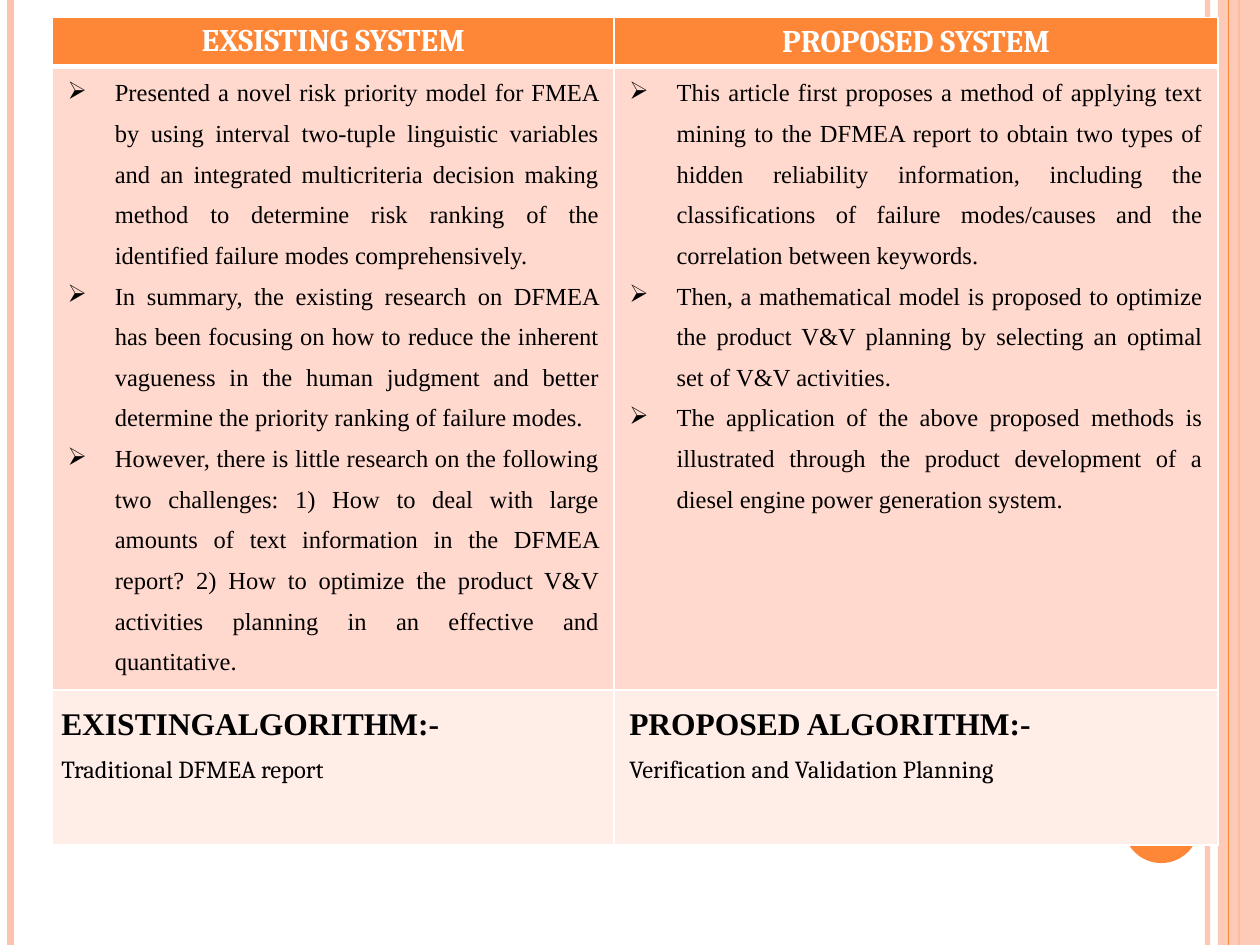
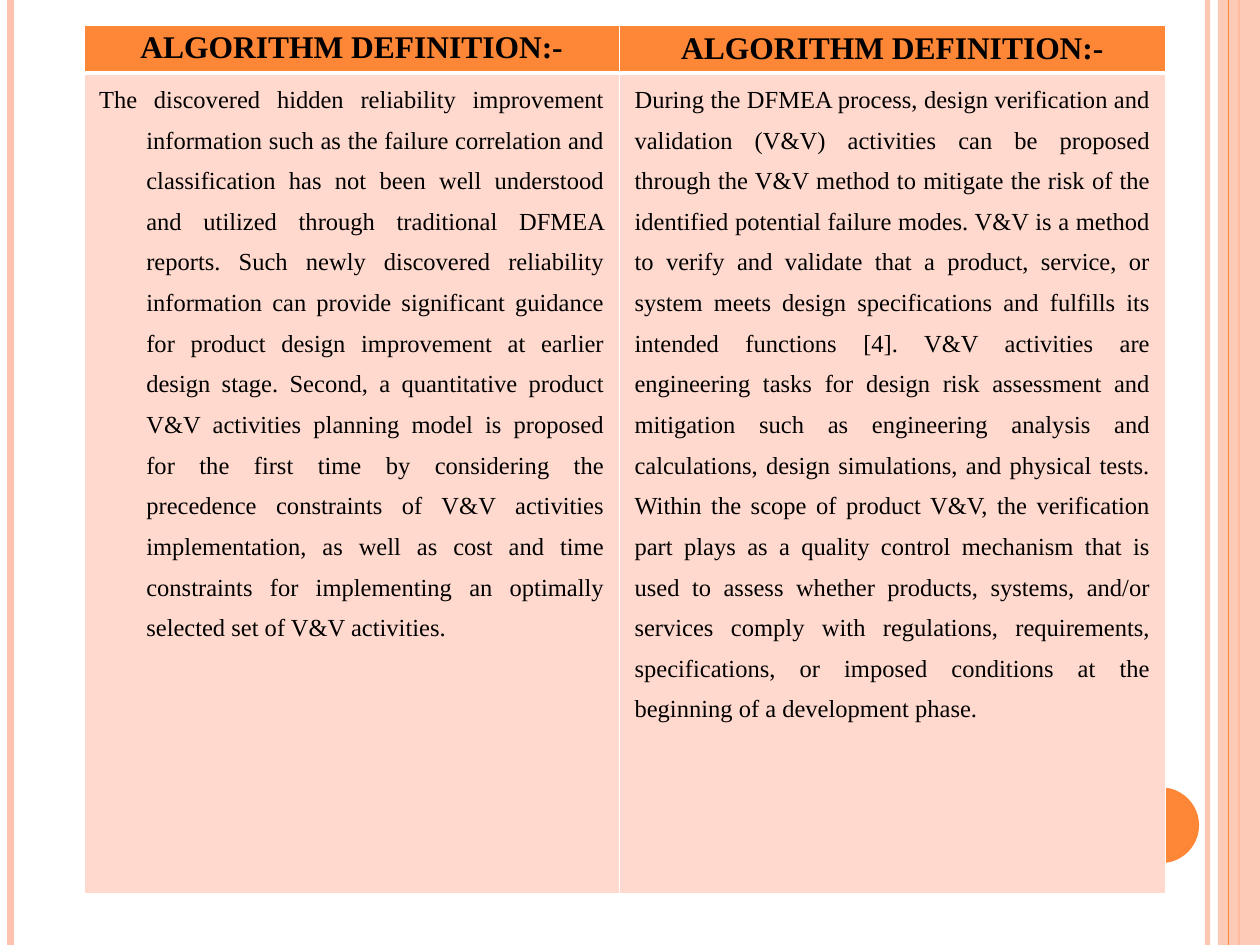
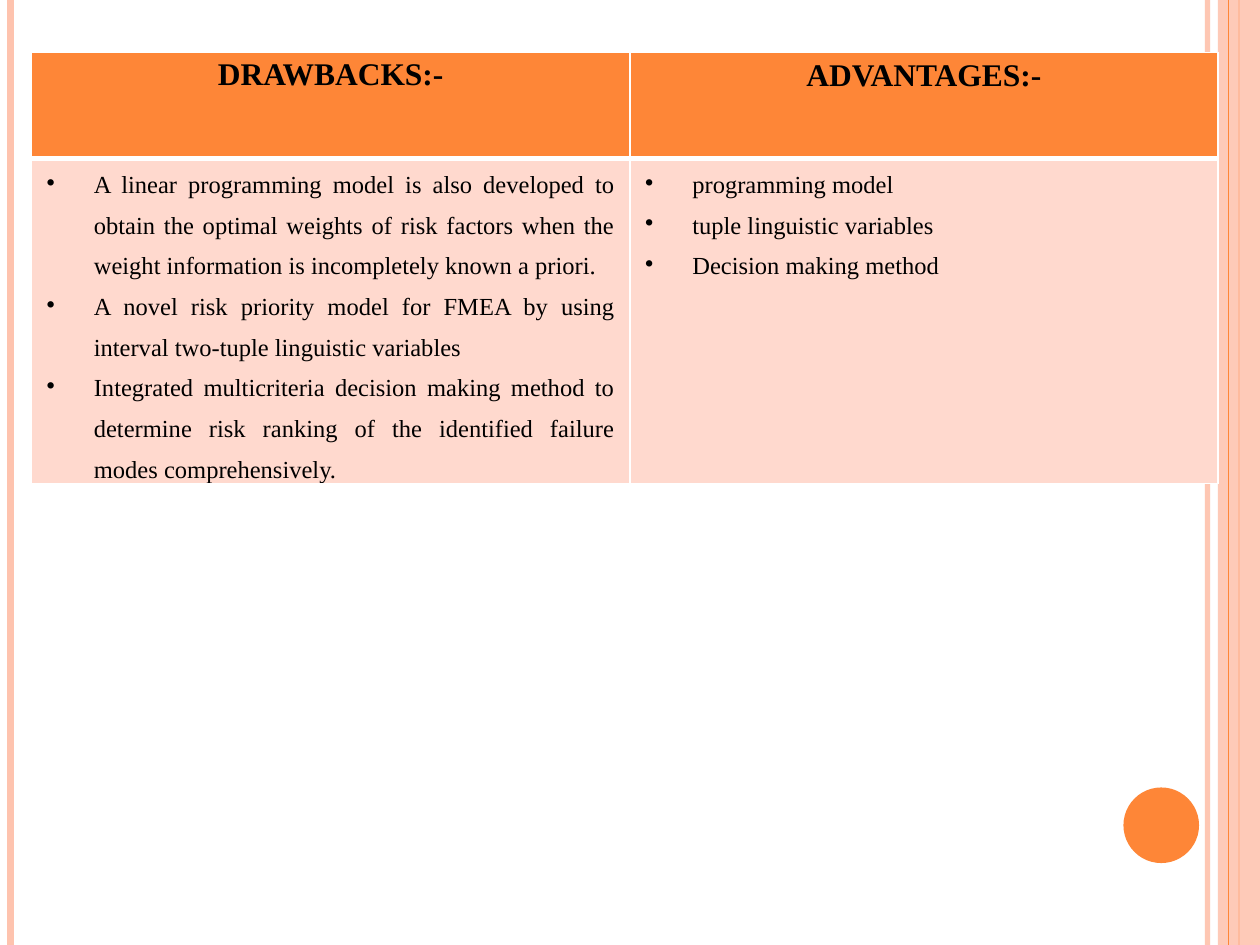
from pptx import Presentation
from pptx.dml.color import RGBColor
from pptx.enum.shapes import MSO_CONNECTOR as Connector, MSO_SHAPE as Preset
from pptx.enum.text import PP_ALIGN as Align
from pptx.oxml.ns import qn
from pptx.util import Pt
from lxml.etree import SubElement

ORANGE, PEACH = "FE8637", "FEC3AE"
BODY_FILL, PALE_FILL = "FFD9CE", "FFEDE8"
WHITE, BLACK = "FFFFFF", "000000"
SERIF, HEADING_SERIF = "Times New Roman", "Cambria"
WIDTH, HEIGHT = 720, 540
HANGING = 27


def colour(value):
    return RGBColor.from_string(value)


def set_opacity(owner, percent):
    for node in owner._element.iter(qn("a:srgbClr")):
        SubElement(node, qn("a:alpha"), val=str(percent * 1000))


class Deck:
    def __init__(self):
        self.deck = Presentation()
        self.deck.slide_width, self.deck.slide_height = Pt(WIDTH), Pt(HEIGHT)
        self.page = None

    def add_page(self):
        self.page = self.deck.slides.add_slide(self.deck.slide_layouts[6])
        self.rule(690, PEACH, 3, 93)
        self.rule(6, PEACH, 4.5)
        self.rule(708, ORANGE, 1.5)
        self.shape(Preset.RECTANGLE, 696, 0, 24, HEIGHT, PEACH, 87)
        self.rule(702, ORANGE, 0.75)
        self.shape(Preset.OVAL, 642, 450, 43.2, 43.2, ORANGE)

    def rule(self, x, tint, weight, opacity=100):
        line = self.page.shapes.add_connector(Connector.STRAIGHT, Pt(x), 0, Pt(x), Pt(HEIGHT))
        line.line.color.rgb = colour(tint)
        line.line.width = Pt(weight)
        SubElement(line._element.spPr, qn("a:effectLst"))
        if opacity < 100:
            set_opacity(line, opacity)

    def shape(self, preset, left, top, width, height, tint, opacity=100):
        shape = self.page.shapes.add_shape(preset, Pt(left), Pt(top), Pt(width), Pt(height))
        shape.shadow.inherit = False
        shape.fill.solid()
        shape.fill.fore_color.rgb = colour(tint)
        shape.line.fill.background()
        if opacity < 100:
            set_opacity(shape, opacity)

    def table(self, left, top, widths, heights):
        frame = self.page.shapes.add_table(
            len(heights), len(widths), Pt(left), Pt(top), Pt(sum(widths)), Pt(sum(heights)))
        table = frame.table
        table.first_row = table.horz_banding = False
        for column, width in zip(table.columns, widths):
            column.width = Pt(width)
        for row, height in zip(table.rows, heights):
            row.height = Pt(height)
        return table

    def style_cell(self, cell, fill, side=8.64, edge=0, borders=(1, 1, None, 1)):
        cell.margin_left = cell.margin_right = Pt(side)
        cell.margin_top = cell.margin_bottom = Pt(edge)
        properties = cell._tc.get_or_add_tcPr()
        for name, weight in zip("LRTB", borders):
            if weight:
                line = SubElement(properties, qn(f"a:ln{name}"), w=str(Pt(weight)))
                SubElement(SubElement(line, qn("a:solidFill")), qn("a:srgbClr"), val=WHITE)
        cell.fill.solid()
        cell.fill.fore_color.rgb = colour(fill)

    def add_text(self, cell, texts, size=14, font=SERIF, tint=BLACK, bold=False,
                 align=Align.JUSTIFY, spacing=1.5, indent=0, hanging=0, bullet=None):
        for text in texts:
            first = cell.text_frame.paragraphs[0]
            para = cell.text_frame.add_paragraph() if first.runs else first
            para.add_run().text = text
            properties = para._p.get_or_add_pPr()
            properties.set("marL", str(Pt(indent + hanging)))
            properties.set("indent", str(Pt(-hanging)))
            if bullet:
                SubElement(properties, qn("a:buChar"), char=bullet)
            para.alignment = align
            para.line_spacing = spacing
            para.font.size = Pt(size)
            para.font.name = font
            para.font.bold = bold
            para.font.color.rgb = colour(tint)

    def header_row(self, table, titles, font=SERIF, tint=BLACK):
        layouts = ((8.64, 0, 1.15), (7.2, 3.6, 1))
        for cell, title, (side, edge, spacing) in zip(table.rows[0].cells, titles, layouts):
            self.style_cell(cell, ORANGE, side, edge, (1, 1, 1, 3))
            self.add_text(cell, [title], 18, font, tint, True, Align.CENTER, spacing)

    def body_row(self, table, columns, bullet=None, hangings=(HANGING, HANGING)):
        for cell, texts, hanging in zip(table.rows[1].cells, columns, hangings):
            self.style_cell(cell, BODY_FILL)
            self.add_text(cell, texts, hanging=hanging, bullet=bullet)

    def algorithm_row(self, table, entries):
        for cell, (title, name), indent in zip(table.rows[2].cells, entries, (0, 3.6)):
            self.style_cell(cell, PALE_FILL, side=5.04)
            self.add_text(cell, [title], 18, bold=True, indent=indent)
            self.add_text(cell, [name], font=HEADING_SERIF, indent=indent)


def add_systems(deck):
    deck.add_page()
    table = deck.table(30, 10, (321, 345), (26, 356.4, 88.6))
    deck.header_row(table, ("EXSISTING SYSTEM", "PROPOSED SYSTEM"), HEADING_SERIF, WHITE)
    existing = (
        "Presented a novel risk priority model for FMEA by using interval two-tuple linguistic "
        "variables and an integrated multicriteria decision making method to determine risk "
        "ranking of the identified failure modes comprehensively.",
        "In summary, the existing research on DFMEA has been focusing on how to reduce the "
        "inherent vagueness in the human judgment and better determine the priority ranking of "
        "failure modes.",
        "However, there is little research on the following two challenges: 1) How to deal with "
        "large amounts of text information in the DFMEA report? 2) How to optimize the product "
        "V&V activities planning in an effective and quantitative.",
    )
    proposed = (
        "This article first proposes a method of applying text mining to the DFMEA report to "
        "obtain two types of hidden reliability information, including the classifications of "
        "failure modes/causes and the correlation between keywords.",
        "Then, a mathematical model is proposed to optimize the product V&V planning by "
        "selecting an optimal set of V&V activities.",
        "The application of the above proposed methods is illustrated through the product "
        "development of a diesel engine power generation system.",
    )
    deck.body_row(table, (existing, proposed), "➢")
    deck.algorithm_row(table, (
        ("EXISTINGALGORITHM:-", "Traditional DFMEA report"),
        ("PROPOSED ALGORITHM:-", "Verification and Validation Planning"),
    ))


def add_definitions(deck):
    deck.add_page()
    table = deck.table(48, 14.4, (306, 312), (27.4, 468.7))
    deck.header_row(table, ["ALGORITHM DEFINITION:-"] * 2)
    existing = (
        "The discovered hidden reliability improvement information such as the failure "
        "correlation and classification has not been well understood and utilized through "
        "traditional DFMEA reports. Such newly discovered reliability information can provide "
        "significant guidance for product design improvement at earlier design stage. Second, a "
        "quantitative product V&V activities planning model is proposed for the first time by "
        "considering the precedence constraints of V&V activities implementation, as well as "
        "cost and time constraints for implementing an optimally selected set of V&V activities."
    )
    proposed = (
        "During the DFMEA process, design verification and validation (V&V) activities can be "
        "proposed through the V&V method to mitigate the risk of the identified potential "
        "failure modes. V&V is a method to verify and validate that a product, service, or "
        "system meets design specifications and fulfills its intended functions [4]. V&V "
        "activities are engineering tasks for design risk assessment and mitigation such as "
        "engineering analysis and calculations, design simulations, and physical tests. Within "
        "the scope of product V&V, the verification part plays as a quality control mechanism "
        "that is used to assess whether products, systems, and/or services comply with "
        "regulations, requirements, specifications, or imposed conditions at the beginning of a "
        "development phase."
    )
    deck.body_row(table, ([existing], [proposed]), hangings=(HANGING, 0))


def add_comparison(deck):
    deck.add_page()
    table = deck.table(18, 30, (342, 336), (60.5, 173.5))
    deck.header_row(table, ("DRAWBACKS:-", "ADVANTAGES:-"))
    drawbacks = (
        "A linear programming model is also developed to obtain the optimal weights of risk "
        "factors when the weight information is incompletely known a priori.",
        "A novel risk priority model for FMEA by using interval two-tuple linguistic variables",
        "Integrated multicriteria decision making method to determine risk ranking of the "
        "identified failure modes comprehensively.",
    )
    advantages = ("programming model", "tuple linguistic variables", "Decision making method")
    deck.body_row(table, (drawbacks, advantages), "•")


def main():
    deck = Deck()
    add_systems(deck)
    add_definitions(deck)
    add_comparison(deck)
    deck.deck.save("out.pptx")


if __name__ == "__main__":
    main()
